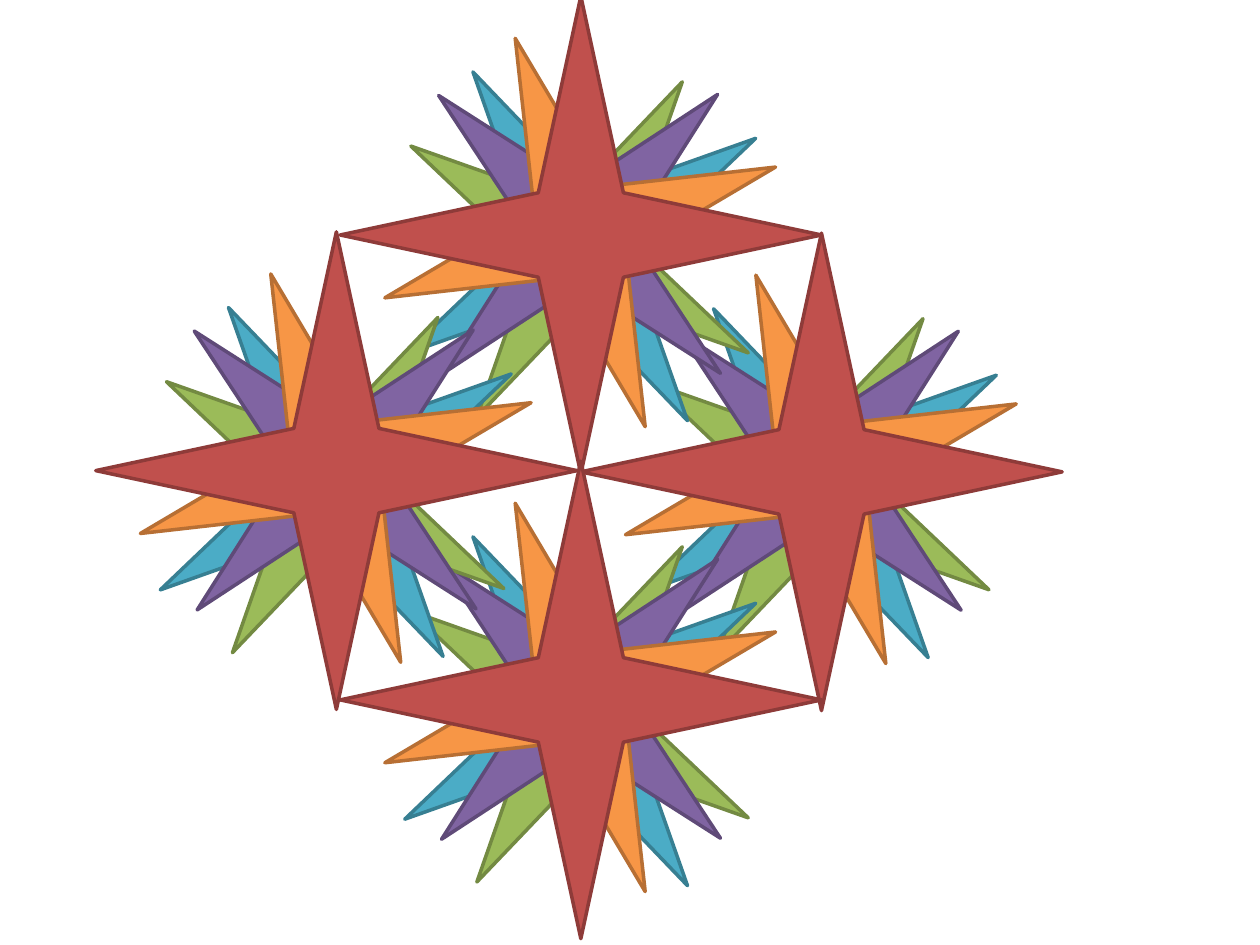
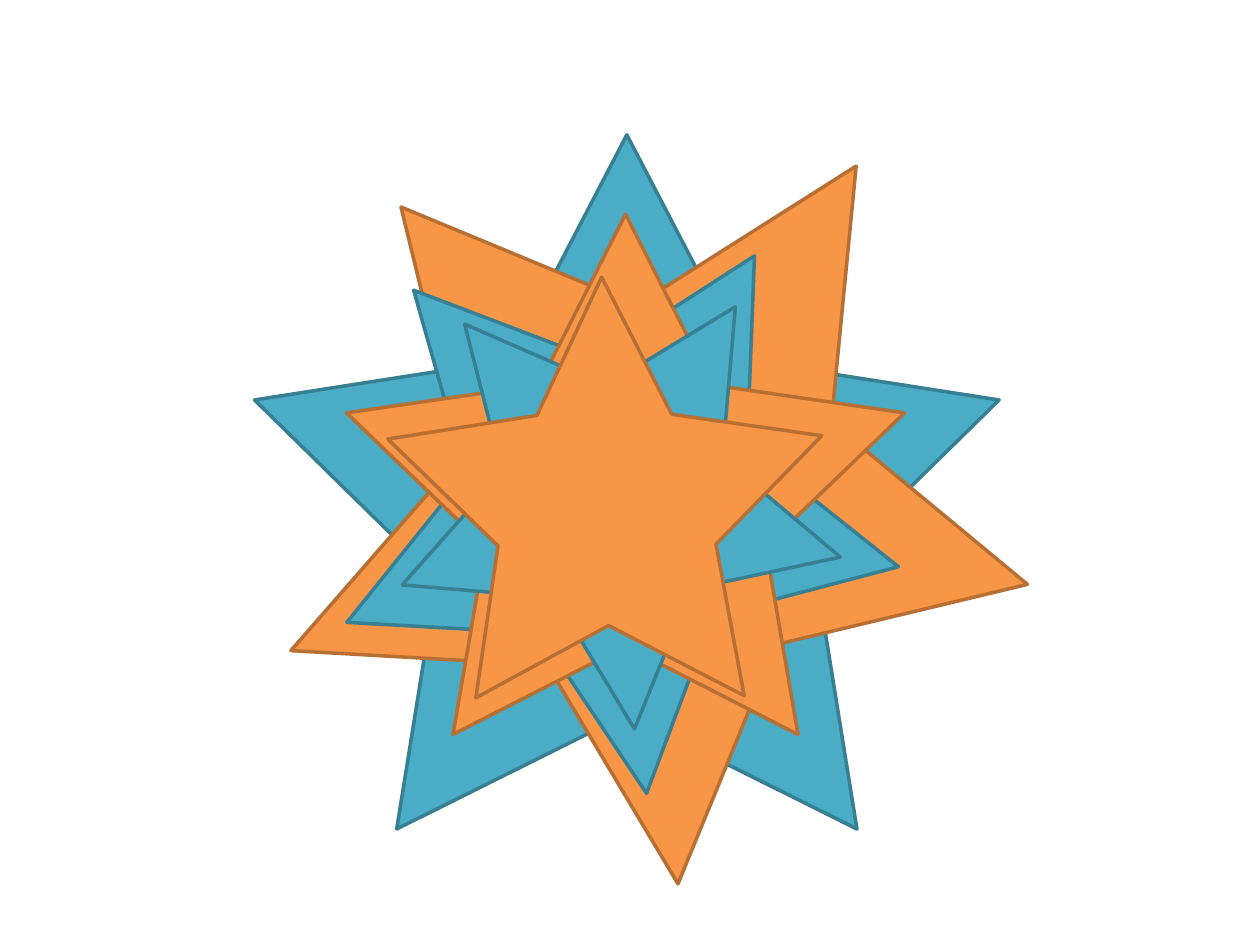
from pptx import Presentation
from pptx.dml.color import RGBColor
from pptx.enum.shapes import MSO_SHAPE
from pptx.util import Pt

STAR4 = MSO_SHAPE.STAR_4_POINT
STAR5 = MSO_SHAPE.STAR_5_POINT
PX = 9144
BLANK_LAYOUT = 6
LINE_WIDTH = Pt(2)

AQUA = ("4BACC6", "377F92")
GREEN = ("9BBB59", "738A42")
PURPLE = ("8064A2", "5F4A78")
ORANGE = ("F79646", "B76F34")
RED = ("C0504D", "8E3B39")

FLOWER_STARS = [
    (27, 36, 327, 325, 328.4, AQUA),
    (34, 44, 312, 314, 301.5, GREEN),
    (34, 32, 312, 314, 314.6, PURPLE),
    (27, 25, 327, 325, 341.5, ORANGE),
    (0, 0, 382, 379, 0, RED),
]
FLOWER_CORNERS = [(461, 185), (270, -3), (270, 366), (76, 184)]

LARGE, MEDIUM, SMALL = (591, 551), (443, 413), (351, 327)
NESTED_STARS = [
    (0, 9, LARGE, 0, 0.255, AQUA),
    (0, 0, LARGE, 319.4, 0.251, ORANGE),
    (73, 78, MEDIUM, 29.7, 0.255, AQUA),
    (73, 72, MEDIUM, 0, 0.251, ORANGE),
    (120, 121, SMALL, 31.8, 0.251, AQUA),
    (120, 137, SMALL, 71.2, 0.251, ORANGE),
]


def rgb(value):
    return RGBColor.from_string(value)


def add_star(shapes, kind, x, y, w, h, rotation, colours):
    s = shapes.add_shape(kind, *(v * PX for v in (x, y, w, h)))
    fill, line = colours
    s.rotation = rotation
    s.shadow.inherit = False
    s.fill.solid()
    s.fill.fore_color.rgb = rgb(fill)
    s.line.color.rgb = rgb(line)
    s.line.width = LINE_WIDTH
    return s


def add_flower(slide, left, top):
    group = slide.shapes.add_group_shape()
    for x, y, w, h, rotation, colours in FLOWER_STARS:
        add_star(group.shapes, STAR4, left + x, top + y, w, h, rotation, colours)


def add_nested_stars(slide, left, top):
    for x, y, (w, h), rotation, depth, colours in NESTED_STARS:
        s = add_star(slide.shapes, STAR5, left + x, top + y, w, h, rotation, colours)
        s.adjustments[0] = depth


def add_blank_slide(prs):
    return prs.slides.add_slide(prs.slide_layouts[BLANK_LAYOUT])


def main():
    prs = Presentation()
    prs.slide_width, prs.slide_height = 1000 * PX, 750 * PX

    flowers = add_blank_slide(prs)
    for left, top in FLOWER_CORNERS:
        add_flower(flowers, left, top)

    add_nested_stars(add_blank_slide(prs), 202, 98)
    prs.save("out.pptx")


if __name__ == "__main__":
    main()
